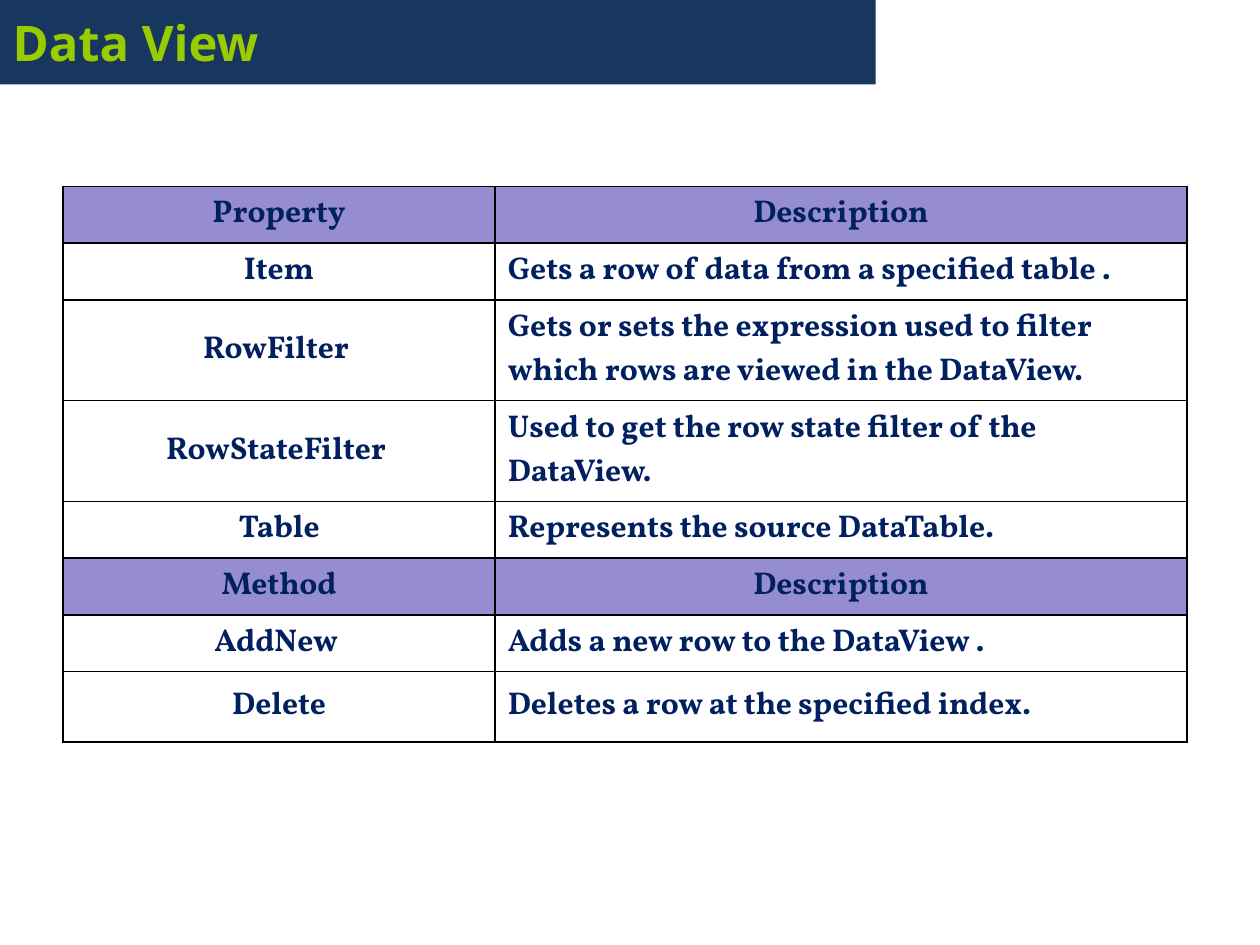
from dataclasses import dataclass

from lxml.etree import SubElement
from pptx import Presentation
from pptx.dml.color import RGBColor
from pptx.enum.text import MSO_ANCHOR as Anchor, PP_ALIGN as Align
from pptx.oxml.ns import qn
from pptx.slide import Slide
from pptx.util import Inches, Pt

BANNER = RGBColor(0x17, 0x37, 0x5E)
LIME = RGBColor(0x99, 0xCC, 0x00)
NAVY = RGBColor(0x00, 0x20, 0x60)
LILAC = RGBColor(0x95, 0x8D, 0xCF)
WHITE = RGBColor(0xFF, 0xFF, 0xFF)
BLACK = RGBColor(0x00, 0x00, 0x00)

MEMBERS = [
    ("Property", "Description"),
    ("Item", "Gets a row of data from a specified table ."),
    ("RowFilter ", "Gets or sets the expression used to filter which rows "
                   "are viewed in the DataView."),
    ("RowStateFilter ", "Used to get the row state filter of the DataView."),
    ("Table", "Represents the source DataTable."),
    ("Method", "Description"),
    ("AddNew ", "Adds a new row to the DataView ."),
    ("Delete", "Deletes a row at the specified index."),
]
HEADER_ROWS = (0, 5)
COLUMN_WIDTHS = (3.43, 5.49)
ROW_HEIGHTS = (0.45, 0.45, 0.8, 0.8, 0.45, 0.45, 0.45, 0.56)


@dataclass
class SlideBuilder:
    page: Slide
    title_font: str = "Open Sans"
    table_font: str = "Vollkorn"

    def set_text(self, frame, text, font, size, color, align):
        frame.text = text
        para = frame.paragraphs[0]
        para.alignment = align
        style = para.runs[0].font
        style.name, style.size, style.bold = font, Pt(size), True
        style.color.rgb = color

    def title(self, text, left, top, width, height):
        box = self.page.shapes.title
        box.left, box.top = Inches(left), Inches(top)
        box.width, box.height = Inches(width), Inches(height)
        box.fill.solid()
        box.fill.fore_color.rgb = BANNER
        box.text_frame.vertical_anchor = Anchor.MIDDLE
        self.set_text(box.text_frame, text, self.title_font, 28, LIME, Align.LEFT)

    def table(self, rows, left, top):
        grid = self.page.shapes.add_table(
            len(rows), len(COLUMN_WIDTHS), Inches(left), Inches(top),
            Inches(sum(COLUMN_WIDTHS)), Inches(sum(ROW_HEIGHTS))).table
        grid.horz_banding = False
        for column, width in zip(grid.columns, COLUMN_WIDTHS):
            column.width = Inches(width)
        for row, height in zip(grid.rows, ROW_HEIGHTS):
            row.height = Inches(height)
        for r, texts in enumerate(rows):
            for c, text in enumerate(texts):
                self.cell(grid.cell(r, c), text, r in HEADER_ROWS, c == 0)

    def cell(self, cell, text, is_header, is_name):
        cell.vertical_anchor = Anchor.MIDDLE
        align = Align.CENTER if is_header or is_name else Align.LEFT
        self.set_text(cell.text_frame, text, self.table_font, 18, NAVY, align)
        self.borders(cell)
        cell.fill.solid()
        cell.fill.fore_color.rgb = LILAC if is_header else WHITE

    def borders(self, cell):
        properties = cell._tc.get_or_add_tcPr()
        for side in ("a:lnL", "a:lnR", "a:lnT", "a:lnB"):
            line = SubElement(properties, qn(side), w=str(Pt(1)))
            fill = SubElement(line, qn("a:solidFill"))
            SubElement(fill, qn("a:srgbClr"), val=str(BLACK))


def main():
    deck = Presentation()
    deck.slide_width, deck.slide_height = Inches(10), Inches(7.5)
    title_only = deck.slide_layouts[5]
    builder = SlideBuilder(deck.slides.add_slide(title_only))
    builder.title("Data View", 0, 0, 6.95, 0.67)
    builder.table(MEMBERS, 0.5, 1.48)
    deck.save("out.pptx")


if __name__ == "__main__":
    main()
